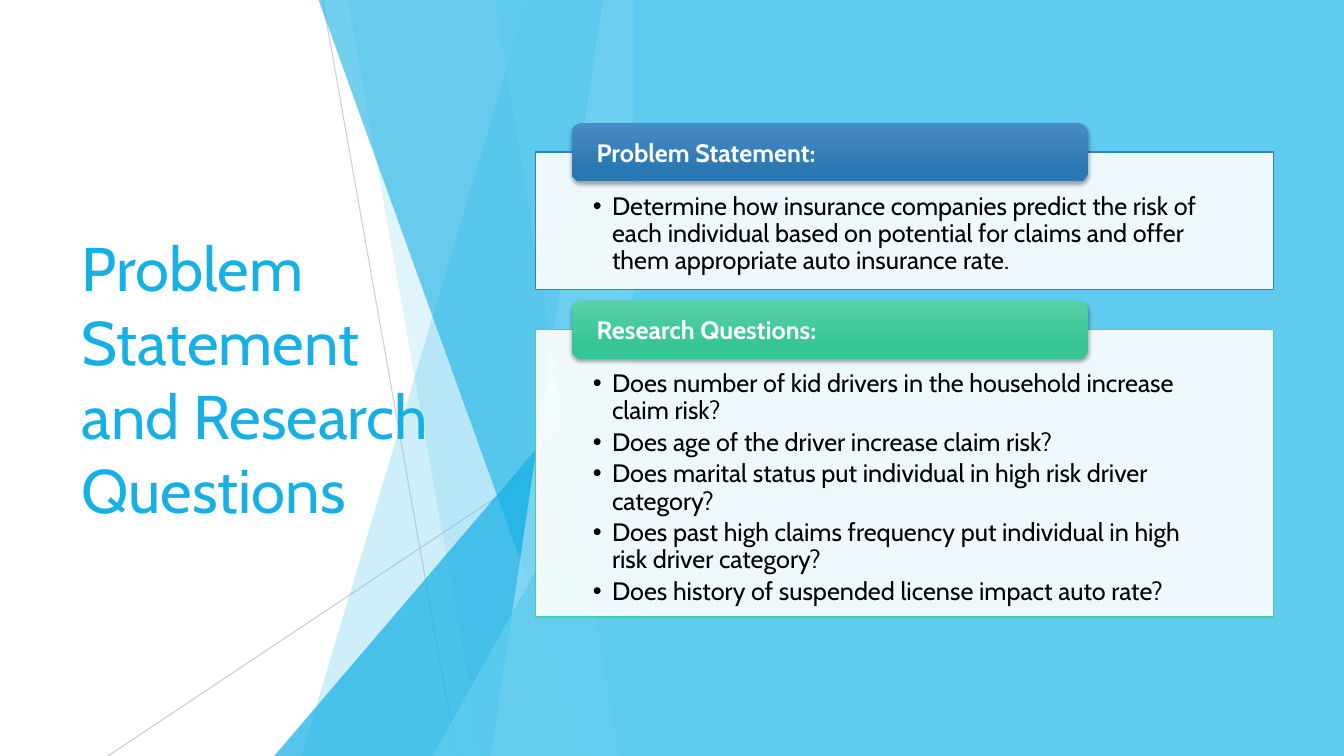
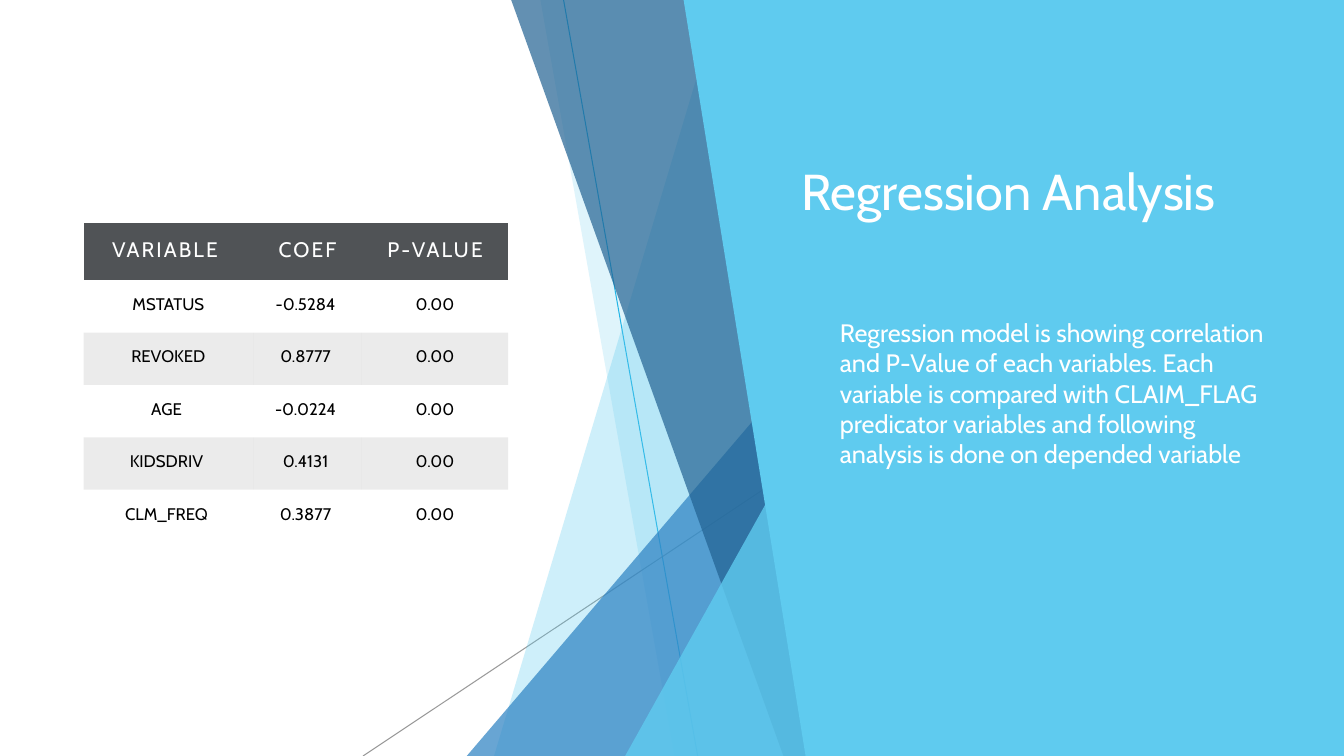
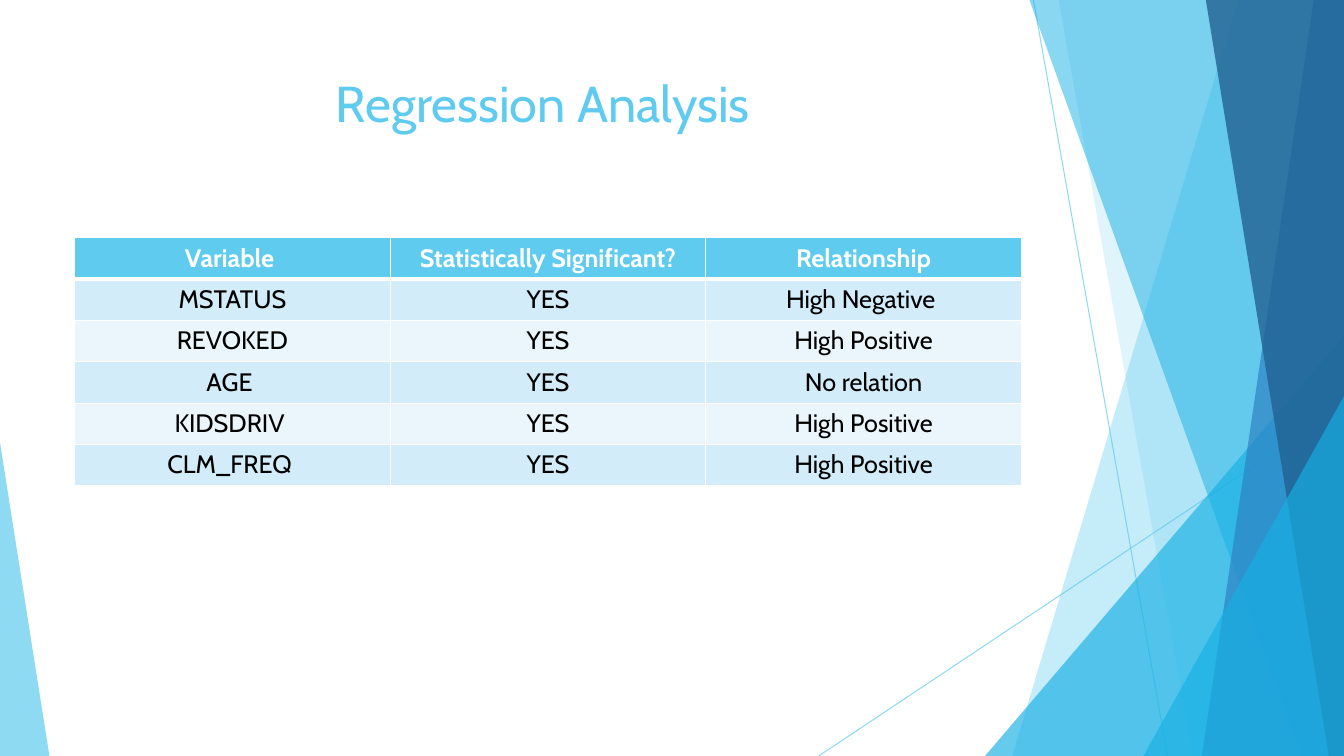
from lxml.etree import SubElement as Sub
from pptx import Presentation
from pptx.dml.color import RGBColor as Rgb
from pptx.enum.shapes import MSO_CONNECTOR as Link, MSO_SHAPE as Kind
from pptx.enum.text import MSO_ANCHOR as Anchor, MSO_AUTO_SIZE as Auto, PP_ALIGN as Align
from pptx.oxml.ns import qn
from pptx.util import Inches, Pt

# Shared style
FONT = "Cabin"
WIDE, HIGH = 13.33, 7.5
SKY, CYAN, BLUE, NAVY = "5FCBEF", "17B0E4", "2E83C3", "226292"
MINT, WHITE, BLACK, GREY = "42D0A2", "FFFFFF", "000000", "505356"
PLAIN = "{2D5ABB26-0587-4C30-8999-92F81FD0307C}"

# Facet band, measured from its right edge
RULES = [(-3.08, 0, -1.75, HIGH), (0, 4.03, -5.21, HIGH)]
FACETS = [  # slant: top x, bottom x; corner: width, top
    ("slant", -1.05, -3.29),
    ("slant", -2.83, -1.5),
    ("corner", 3.56, 3.33),
    ("slant", -3.12, -0.42),
    ("slant", -0.3, -1.41),
    ("slant", -1.37, -0.15),
    ("corner", 1.99, 3.93),
]


def color(code):
    return Rgb.from_string(code)


def tint(fill, code, alpha=100):
    """Solid fill with opacity in percent."""
    fill.solid()
    fill.fore_color.rgb = color(code)
    if alpha < 100:
        solid = fill._xPr.find(qn("a:solidFill"))
        Sub(solid[0], qn("a:alpha"), val=str(alpha * 1000))


class Deck:
    def __init__(self):
        self.prs = Presentation()
        self.prs.slide_width, self.prs.slide_height = Inches(WIDE), Inches(HIGH)
        self.slide = None

    def add(self, layout):
        self.slide = self.prs.slides.add_slide(self.prs.slide_layouts[layout])

    def style(self, para, size, code, bold=False, align=Align.LEFT):
        para.alignment = align
        for run in para.runs:
            font = run.font
            font.name, font.size, font.bold = FONT, Pt(size), bold
            font.color.rgb = color(code)

    def place(self, shape, box, anchor, pads=(0.1, 0.05, 0.1, 0.05)):
        """Position a text shape and bring it to the front."""
        shape.left, shape.top, shape.width, shape.height = map(Inches, box)
        shape.element.getparent().append(shape.element)
        frame = shape.text_frame
        frame.word_wrap, frame.auto_size = True, Auto.NONE
        frame.vertical_anchor = anchor
        (frame.margin_left, frame.margin_top,
         frame.margin_right, frame.margin_bottom) = map(Inches, pads)
        return frame

    def title(self, text, box, size, code, anchor=Anchor.MIDDLE, align=Align.LEFT):
        frame = self.place(self.slide.shapes.title, box, anchor)
        frame.text = text
        self.style(frame.paragraphs[0], size, code, align=align)

    def body(self, slot, items, box, code, indent, hang=0, bullet=None, line=1, after=0, **opts):
        shape = self.slide.placeholders[slot]
        frame = self.place(shape, box, Anchor.TOP, **opts)
        frame.text = "\n".join(items)
        for para in frame.paragraphs:
            self.style(para, 18, code)
            para.line_spacing = line
            para.space_before, para.space_after = Pt(0), Pt(after)
            props = para._p.get_or_add_pPr()
            props.set("marL", str(Inches(indent)))
            props.set("indent", str(Inches(-hang)))
            if bullet:
                Sub(props, qn("a:buChar"), char=bullet)
            else:
                Sub(props, qn("a:buNone"))
        return shape

    def clean(self, shape):
        shape.shadow.inherit = False
        shape.line.fill.background()
        return shape

    def shape(self, kind, box):
        return self.clean(self.slide.shapes.add_shape(kind, *map(Inches, box)))

    def poly(self, points, code, alpha=100):
        first, *rest = [(Inches(x), Inches(y)) for x, y in points]
        form = self.slide.shapes.build_freeform(*first, scale=1.0)
        form.add_line_segments(rest, close=True)
        tint(self.clean(form.convert_to_shape()).fill, code, alpha)

    def corner(self, box, lean, code, alpha):
        shape = self.shape(Kind.ISOSCELES_TRIANGLE, box)
        shape.adjustments[0] = lean
        tint(shape.fill, code, alpha)

    def rule(self, ends, code, alpha):
        line = self.slide.shapes.add_connector(Link.STRAIGHT, *map(Inches, ends))
        line.line.width = Pt(0.75)
        tint(line.line.fill, code, alpha)
        Sub(line.element.spPr, qn("a:effectLst"))

    def band(self, edge, rules, skins):
        """Draw the facets; a skin of None leaves one out."""
        for (x1, y1, x2, y2), (base, *look) in zip(RULES, rules):
            self.rule((base + x1, y1, base + x2, y2), *look)
        for (kind, a, b), skin in zip(FACETS, skins):
            if not skin:
                continue
            if kind == "corner":
                self.corner((edge - a, b, a, HIGH - b), 1, *skin)
            else:
                self.poly([(edge + a, 0), (edge, 0), (edge, HIGH), (edge + b, HIGH)], *skin)

    def card(self, slot, head, items, top, high, edge, blend):
        """Bulleted box with a gradient tab on its upper edge."""
        left = 5.31
        box = self.body(slot, items, (left, top, 7.32, high), BLACK, 0.19, 0.19, "•",
                        0.9, 3, pads=(0.57, 0.41, 0.57, 0.14))
        tint(box.fill, WHITE, 90)
        box.line.color.rgb, box.line.width = color(edge), Pt(1)

        spot = (left + 0.36, top - 0.29, 5.12, 0.58)
        tab = self.shape(Kind.ROUNDED_RECTANGLE, spot)
        tab.fill.gradient()
        tab.fill.gradient_angle = 270
        for stop, code, pos in zip(tab.fill.gradient_stops, blend, (0, 0.78)):
            stop.color.rgb, stop.position = color(code), pos
        glow = Sub(tab.element.spPr.find(qn("a:effectLst")), qn("a:outerShdw"),
                   blurRad=str(Pt(3)), dist=str(Pt(2)), dir="5400000", rotWithShape="0")
        Sub(Sub(glow, qn("a:srgbClr"), val=BLACK), qn("a:alpha"), val="35000")
        frame = self.place(tab, spot, Anchor.MIDDLE, (0.22, 0, 0.22, 0))
        frame.text = head
        self.style(frame.paragraphs[0], 18, WHITE, True)

    def table(self, rows, spot, cols, highs, head, size, fills, pad=None, grid=False):
        """head: size, fill, bold, spacing; fills: odd and even rows."""
        room = (sum(cols), sum(highs))
        table = self.slide.shapes.add_table(
            len(rows), len(cols), *map(Inches, spot + room)).table
        table._tbl.tblPr.find(qn("a:tableStyleId")).text = PLAIN
        table.horz_banding = False
        for col, wide in zip(table.columns, cols):
            col.width = Inches(wide)
        for r, (row, high) in enumerate(zip(rows, highs)):
            table.rows[r].height = Inches(high)
            for c, text in enumerate(row):
                cell = table.cell(r, c)
                cell.text = text
                if pad:
                    cell.margin_left = cell.margin_right = Inches(pad)
                    cell.margin_top = cell.margin_bottom = Inches(pad)
                if grid:
                    self.border(cell, "a:lnR", 1)
                    self.border(cell, "a:lnB", 1 if r else 3)
                para = cell.text_frame.paragraphs[0]
                if r:
                    skin = fills[(r - 1) % 2]
                    self.style(para, size, BLACK, align=Align.CENTER)
                else:
                    points, code, bold, gap = head
                    skin = (code,)
                    self.style(para, points, WHITE, bold, Align.CENTER)
                    para.runs[0].font._element.set("spc", str(gap))
                if skin:
                    tint(cell.fill, *skin)
                else:
                    cell.fill.background()

    def border(self, cell, side, width):
        line = Sub(cell._tc.get_or_add_tcPr(), qn(side), w=str(Pt(width)))
        Sub(Sub(line, qn("a:solidFill")), qn("a:srgbClr"), val=WHITE)


def main():
    deck = Deck()

    # Slide 1: problem and questions
    deck.add(3)
    edge = 6.28
    deck.band(edge, [(edge, "BFBFBF", 75), (edge, "BFBFBF", 80)],
              [(SKY, 30), (SKY, 20), (CYAN, 72), (CYAN, 60),
               ("9FE0F5", 70), (SKY, 65), (SKY, 80)])
    deck.title("Problem Statement and Research Questions",
               (0.71, 1.51, 3.88, 4.48), 44, CYAN)
    tint(deck.shape(Kind.RECTANGLE, (edge, 0, WIDE - edge, HIGH)).fill, SKY)
    deck.card(1, "Problem Statement:", [
        "Determine how insurance companies predict the risk of each individual based on "
        "potential for claims and offer them appropriate auto insurance rate.",
    ], 1.51, 1.36, BLUE, ("4A8BC6", "2A78B2"))
    deck.card(2, "Research Questions:", [
        "Does number of kid drivers in the household increase claim risk?",
        "Does age of the driver increase claim risk?",
        "Does marital status put individual in high risk driver category?",
        "Does past high claims frequency put individual in high risk driver category?",
        "Does history of suspended license impact auto rate?",
    ], 3.27, 2.85, MINT, ("56D2A7", "36C596"))

    # Slide 2: coefficients
    deck.add(1)
    deck.band(8.19, [(8.67, CYAN, 100), (8.81, "808080", 80)],
              [(SKY, 30), (SKY, 20), (BLUE, 72), (NAVY, 70), None, None, (SKY, 80)])
    deck.poly([(6.78, 0), (WIDE, 0), (WIDE, HIGH), (7.99, HIGH)], SKY)
    deck.title("Regression Analysis", (7.85, 0.67, 4.94, 2.44), 36, WHITE)
    deck.body(1, [
        "Regression model is showing correlation and P-Value of each variables. Each "
        "variable is compared with CLAIM_FLAG predicator variables and following "
        "analysis is done on depended variable",
    ], (7.85, 3.1, 4.94, 3.63), WHITE, 0.38)
    deck.table([
        ("VARIABLE ", "COEF", "P-VALUE"),
        ("MSTATUS", "-0.5284 ", "0.00"),
        ("REVOKED", "0.8777 ", "0.00"),
        ("AGE ", "-0.0224 ", "0.00"),
        ("KIDSDRIV ", "0.4131 ", "0.00"),
        ("CLM_FREQ ", "0.3877 ", "0.00"),
    ], (0.83, 2.21), (1.68, 1.08, 1.45), [0.57] + [0.52] * 5,
        (15, GREY, False, 150), 12, (None, (BLACK, 8)), pad=0.14)

    # Slide 3: significance
    deck.add(5)
    deck.band(WIDE, [(WIDE, SKY, 70)] * 2,
              [(SKY, 36), (SKY, 20), (CYAN, 66), (CYAN, 50),
               (BLUE, 70), (NAVY, 80), (CYAN, 66)])
    deck.corner((0, 4.39, 0.49, 3.11), 0, SKY, 70)
    deck.title("Regression Analysis ", (0.74, 0.67, 9.4, 1.44), 36, SKY,
               Anchor.TOP, Align.CENTER)
    deck.table([
        ("Variable ", "Statistically Significant?", "Relationship"),
        ("MSTATUS", "YES", "High Negative "),
        ("REVOKED", "YES", "High Positive"),
        ("AGE ", "YES", "No relation"),
        ("KIDSDRIV ", "YES", "High Positive"),
        ("CLM_FREQ ", "YES", "High Positive"),
    ], (0.74, 2.36), [3.13] * 3, [0.41] * 6,
        (18, SKY, True, 0), 18, (("D2ECF9",), ("EAF6FC",)), grid=True)

    deck.prs.save("out.pptx")


if __name__ == "__main__":
    main()
